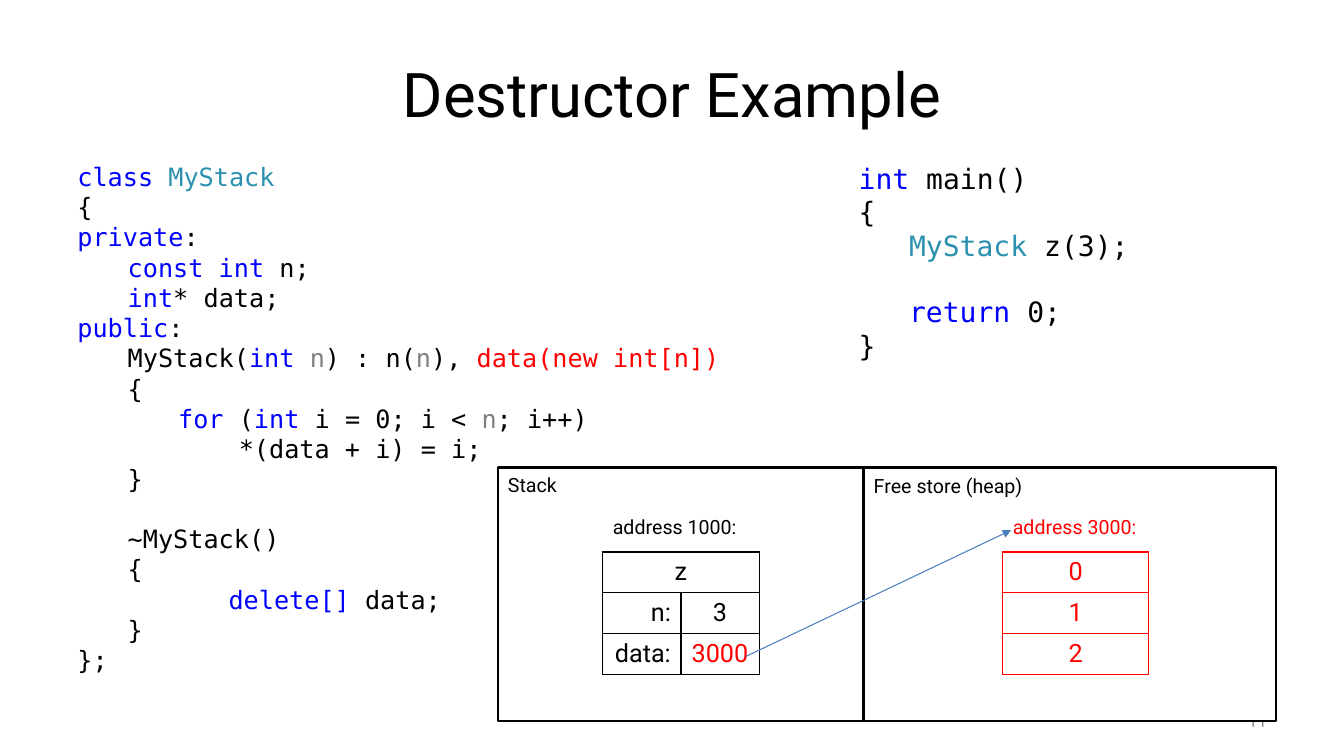
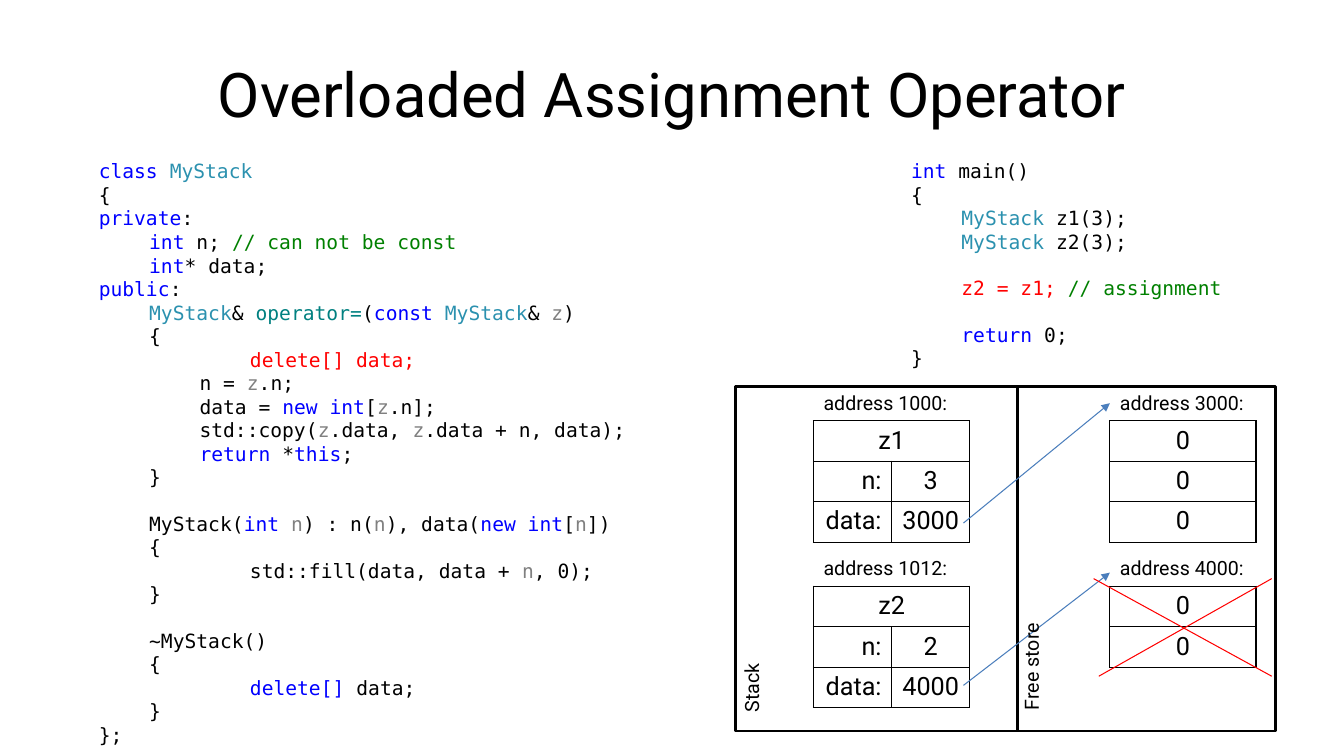
from lxml.etree import SubElement
from pptx import Presentation
from pptx.dml.color import RGBColor
from pptx.enum.shapes import MSO_CONNECTOR, MSO_SHAPE
from pptx.enum.text import MSO_ANCHOR, MSO_AUTO_SIZE, PP_ALIGN
from pptx.oxml.ns import qn
from pptx.util import Cm, Pt

BLACK = RGBColor(0x00, 0x00, 0x00)
WHITE = RGBColor(0xFF, 0xFF, 0xFF)
GRAY = RGBColor(0x8C, 0x8C, 0x8C)
RED = RGBColor(0xFF, 0x00, 0x00)
ARROW_BLUE = RGBColor(0x4B, 0x7E, 0xBC)
KEYWORD = RGBColor(0x00, 0x00, 0xFF)
TYPE = RGBColor(0x2B, 0x91, 0xAF)
PARAMETER = RGBColor(0x80, 0x80, 0x80)
COMMENT = RGBColor(0x00, 0x80, 0x00)
OPERATOR = RGBColor(0x00, 0x80, 0x80)

TEXT_FONT = "Roboto"
CODE_FONT = "DejaVu Sans Mono"
CODE_LINE_HEIGHT = 1.164
INDENT = 1.27
OBJECT_COLUMNS = (1.97, 1.97)
ARRAY_COLUMNS = (3.68,)

INT = ("int", KEYWORD)
NEW_INT = ("new int", KEYWORD)
RETURN = ("return", KEYWORD)
MY_STACK = ("MyStack", TYPE)
N = ("n", PARAMETER)
Z = ("z", PARAMETER)
BLANK = None

CLASS_START = [
    (0, ("class ", KEYWORD), MY_STACK),
    (0, "{"),
    (0, ("private", KEYWORD), ":"),
]
DATA_AND_PUBLIC = [
    (1, INT, "* data;"),
    (0, ("public", KEYWORD), ":"),
]
DESTRUCTOR_AND_END = [
    BLANK,
    (1, "~MyStack()"),
    (1, "{"),
    (3, ("delete[]", KEYWORD), " data;"),
    (1, "}"),
    (0, "};"),
]
MAIN_START = [(0, INT, " main()"), (0, "{")]
MAIN_END = [BLANK, (1, RETURN, " 0;"), (0, "}")]

DESTRUCTOR_CLASS = CLASS_START + [
    (1, ("const int", KEYWORD), " n;"),
] + DATA_AND_PUBLIC + [
    (1, "MyStack(", INT, " ", N, ") : n(", N, "), ", ("data(new int[n])", RED)),
    (1, "{"),
    (2, ("for", KEYWORD), " (", INT, " i = 0; i < ", N, "; i++)"),
    (2, "    *(data + i) = i;"),
    (1, "}"),
] + DESTRUCTOR_AND_END

ASSIGNMENT_CLASS = CLASS_START + [
    (1, INT, " n; ", ("// can not be const", COMMENT)),
] + DATA_AND_PUBLIC + [
    (1, MY_STACK, "& ", ("operator=", OPERATOR), "(", ("const ", KEYWORD),
     MY_STACK, "& ", Z, ")"),
    (1, "{"),
    (3, ("delete[] data;", RED)),
    (2, "n = ", Z, ".n;"),
    (2, "data = ", NEW_INT, "[", Z, ".n];"),
    (2, "std::copy(", Z, ".data, ", Z, ".data + n, data);"),
    (2, RETURN, " *", ("this", KEYWORD), ";"),
    (1, "}"),
    BLANK,
    (1, "MyStack(", INT, " ", N, ") : n(", N, "), data(", NEW_INT, "[", N, "])"),
    (1, "{"),
    (3, "std::fill(data, data + ", N, ", 0);"),
    (1, "}"),
] + DESTRUCTOR_AND_END

DESTRUCTOR_MAIN = MAIN_START + [(1, MY_STACK, " z(3);")] + MAIN_END
ASSIGNMENT_MAIN = MAIN_START + [
    (1, MY_STACK, " z1(3);"),
    (1, MY_STACK, " z2(3);"),
    BLANK,
    (1, ("z2 = z1; ", RED), ("// assignment", COMMENT)),
] + MAIN_END


def add_run(paragraph, text, size, color=BLACK, font=TEXT_FONT):
    run = paragraph.add_run()
    run.text = text
    run.font.name = font
    run.font.size = Pt(size)
    run.font.color.rgb = color


def add_title_slide(presentation, title):
    slide = presentation.slides.add_slide(presentation.slide_layouts[5])
    shape = slide.shapes.title
    shape.left, shape.top, shape.width, shape.height = map(Cm, (1.7, 0.76, 30.48, 3.18))
    frame = shape.text_frame
    frame.auto_size = MSO_AUTO_SIZE.NONE
    frame.vertical_anchor = MSO_ANCHOR.MIDDLE
    paragraph = frame.paragraphs[0]
    paragraph.alignment = PP_ALIGN.CENTER
    add_run(paragraph, title, 44)
    return slide


def add_text_frame(slide, box, rotation=0):
    shape = slide.shapes.add_textbox(*map(Cm, box))
    shape.rotation = rotation
    shape.text_frame.word_wrap = True
    return shape.text_frame


def add_label(slide, box, text, rotation=0):
    frame = add_text_frame(slide, box, rotation)
    add_run(frame.paragraphs[0], text, 14)


def add_page_number(slide, number):
    frame = add_text_frame(slide, (24.28, 17.65, 7.9, 1.02))
    frame.vertical_anchor = MSO_ANCHOR.MIDDLE
    paragraph = frame.paragraphs[0]
    paragraph.alignment = PP_ALIGN.RIGHT
    add_run(paragraph, number, 12, GRAY)


def add_code(slide, box, size, lines):
    frame = add_text_frame(slide, box)
    paragraph = frame.paragraphs[0]
    after_blank = False
    for index, line in enumerate(lines):
        if line is BLANK:
            after_blank = True
            continue
        if index:
            paragraph = frame.add_paragraph()
        level, *runs = line
        properties = paragraph._p.get_or_add_pPr()
        properties.set("marL", str(Cm(INDENT * level)))
        properties.set("indent", "0")
        if after_blank:
            paragraph.space_before = Pt(round(size * CODE_LINE_HEIGHT, 1))
            after_blank = False
        for run in runs:
            text, color = (run, BLACK) if isinstance(run, str) else run
            add_run(paragraph, text, size, color, CODE_FONT)


def add_memory_area(slide, box):
    shape = slide.shapes.add_shape(MSO_SHAPE.RECTANGLE, *map(Cm, box))
    shape.shadow.inherit = False
    shape.fill.solid()
    shape.fill.fore_color.rgb = WHITE
    shape.line.color.rgb = BLACK
    shape.line.width = Pt(2)


def add_line(slide, start, end, color, arrow=False):
    connector = slide.shapes.add_connector(
        MSO_CONNECTOR.STRAIGHT, *map(Cm, start + end))
    connector.line.color.rgb = color
    connector.line.width = Pt(0.75)
    properties = connector._element.spPr
    if arrow:
        SubElement(properties.find(qn("a:ln")), qn("a:tailEnd"), type="triangle")
    SubElement(properties, qn("a:effectLst"))


def set_borders(cell, color, visible_sides):
    properties = cell._tc.get_or_add_tcPr()
    for side in "LRTB":
        line = SubElement(properties, qn(f"a:ln{side}"), w=str(Pt(1)))
        if side in visible_sides:
            fill = SubElement(line, qn("a:solidFill"))
            SubElement(fill, qn("a:srgbClr"), val=str(color))
        else:
            SubElement(line, qn("a:noFill"))


def add_memory_table(slide, position, columns, heights, rows, color=BLACK):
    size = (sum(columns), sum(heights))
    table = slide.shapes.add_table(
        len(rows), len(columns), *map(Cm, position + size)).table
    table.first_row = False
    table.horz_banding = False
    for column, width in zip(table.columns, columns):
        column.width = Cm(width)
    for row_index, (values, height) in enumerate(zip(rows, heights)):
        table.rows[row_index].height = Cm(height)
        is_header = row_index == 0
        for column_index in range(len(columns)):
            cell = table.cell(row_index, column_index)
            set_borders(cell, color, "B" if is_header else "LRTB")
            cell.fill.background()
        if len(values) < len(columns):
            table.cell(row_index, 0).merge(table.cell(row_index, len(columns) - 1))
        for column_index, value in enumerate(values):
            text, text_color = (value, color) if isinstance(value, str) else value
            paragraph = table.cell(row_index, column_index).text_frame.paragraphs[0]
            if is_header:
                paragraph.alignment = PP_ALIGN.LEFT
            elif text.endswith(":"):
                paragraph.alignment = PP_ALIGN.RIGHT
            else:
                paragraph.alignment = PP_ALIGN.CENTER
            add_run(paragraph, text, 14 if is_header else 18, text_color)


def add_object(slide, position, heights, address, name, count, pointer):
    rows = [(f"address {address}:",), (name,), ("n:", count), ("data:", pointer)]
    add_memory_table(slide, position, OBJECT_COLUMNS, heights, rows)


def add_array(slide, position, heights, address, values, color=BLACK):
    rows = [(f"address {address}:",)] + [(value,) for value in values]
    add_memory_table(slide, position, ARRAY_COLUMNS, heights, rows, color)


def build_destructor_slide(presentation):
    slide = add_title_slide(presentation, "Destructor Example")
    add_page_number(slide, "11")
    add_code(slide, (21.39, 3.94, 9.25, 5.38), 20, DESTRUCTOR_MAIN)
    add_memory_area(slide, (21.77, 11.79, 10.39, 6.38))
    add_memory_area(slide, (12.55, 11.79, 9.22, 6.38))
    heights = [1.03] * 4
    add_object(slide, (15.19, 12.88), heights, "3000"[:0] + "1000", "z", "3", ("3000", RED))
    add_array(slide, (25.27, 12.88), heights, "3000", "012", RED)
    add_line(slide, (18.8, 16.54), (25.48, 13.36), ARROW_BLUE, arrow=True)
    add_code(slide, (1.7, 3.94, 16.87, 13.34), 18, DESTRUCTOR_CLASS)
    add_label(slide, (12.55, 11.79, 3.33, 0.86), "Stack")
    add_label(slide, (21.77, 11.81, 4.95, 0.86), "Free store (heap)")


def build_assignment_slide(presentation):
    slide = add_title_slide(presentation, "Overloaded Assignment Operator")
    add_code(slide, (22.71, 3.89, 9.47, 5.64), 14, ASSIGNMENT_MAIN)
    add_memory_area(slide, (25.65, 9.73, 6.5, 8.69))
    add_memory_area(slide, (18.54, 9.73, 7.11, 8.69))
    heights = [0.85] + [1.02] * 3
    memory = [
        (9.75, "1000", "z1", "3", "3000", "000", 13.18, 10.16),
        (13.92, "1012", "z2", "2", "4000", "00", 17.27, 14.43),
    ]
    for top, address, name, count, pointer, values, arrow_start, arrow_end in memory:
        add_object(slide, (20.5, top), heights, address, name, count, pointer)
        add_array(slide, (27.97, top), heights[:len(values) + 1], pointer, values)
        add_line(slide, (24.28, arrow_start), (27.97, arrow_end), ARROW_BLUE, arrow=True)
    add_label(slide, (17.63, 16.46, 2.62, 0.86), "Stack", 270)
    add_label(slide, (24.33, 16.05, 3.33, 0.86), "Free store", 270)
    add_code(slide, (2.24, 3.89, 16.28, 15.1), 14, ASSIGNMENT_CLASS)
    add_line(slide, (27.69, 17.04), (32.05, 14.58), RED)
    add_line(slide, (32.05, 17.04), (27.56, 14.58), RED)


def main():
    presentation = Presentation()
    presentation.slide_width = Cm(33.87)
    presentation.slide_height = Cm(19.05)
    build_destructor_slide(presentation)
    build_assignment_slide(presentation)
    presentation.save("out.pptx")


if __name__ == "__main__":
    main()
